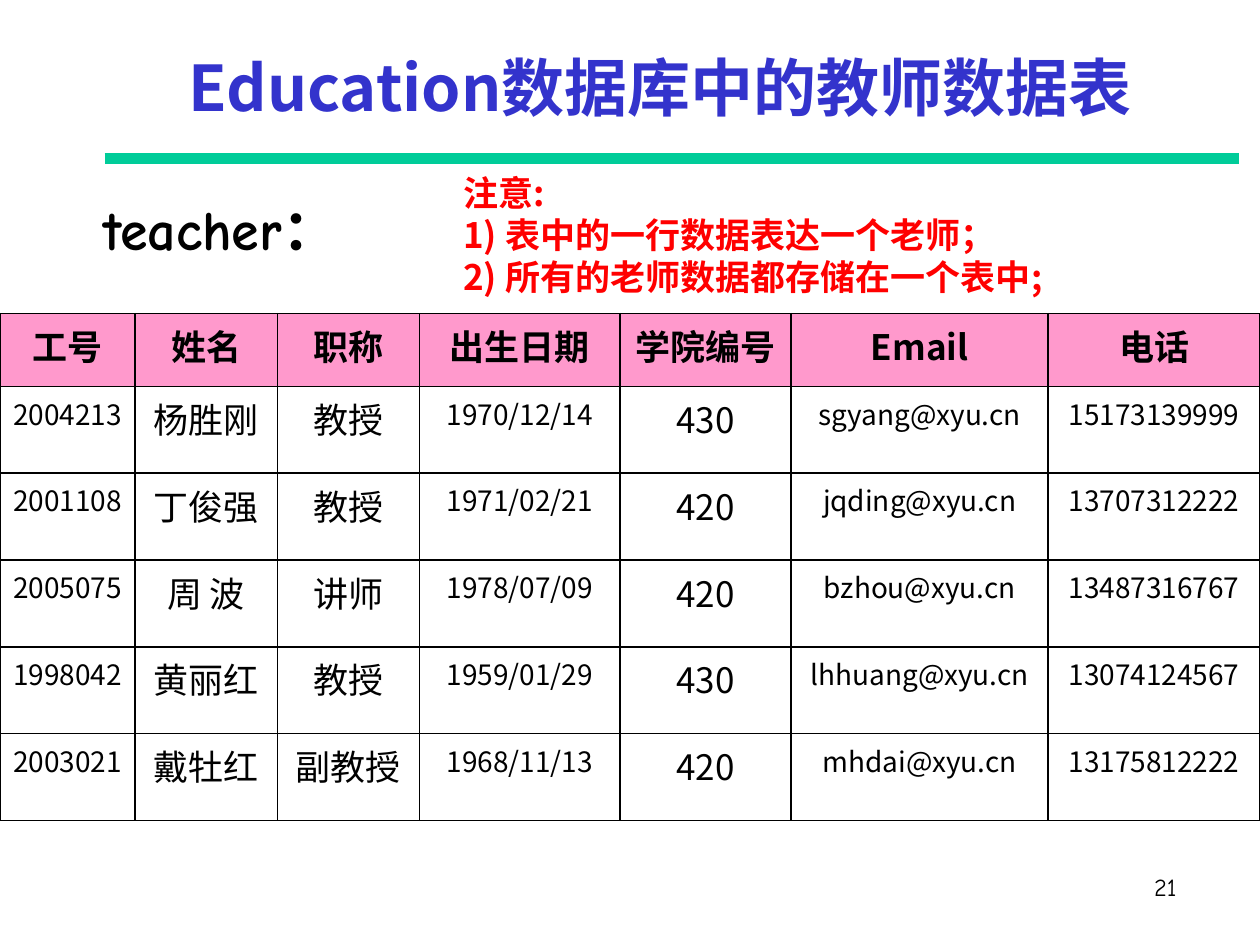
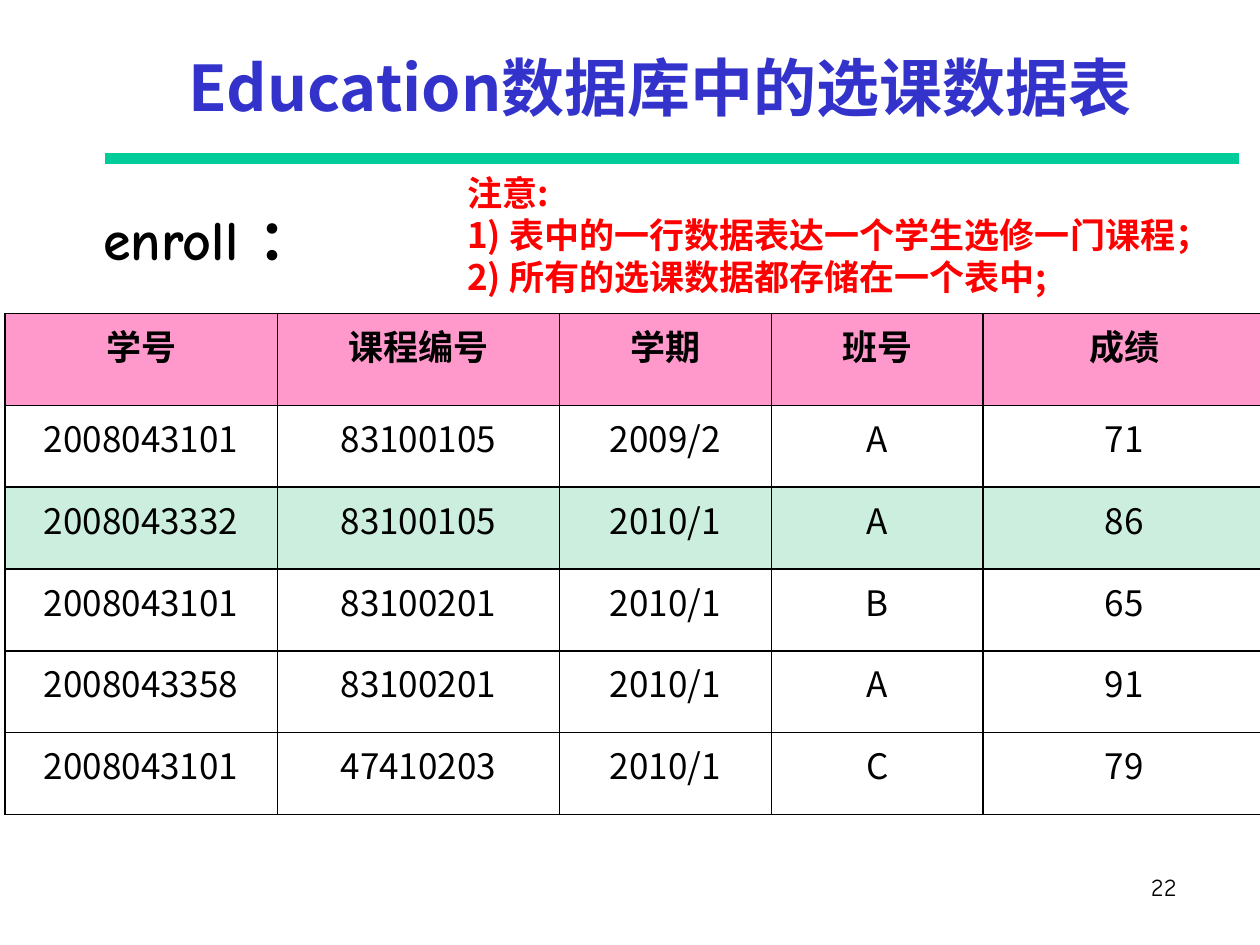
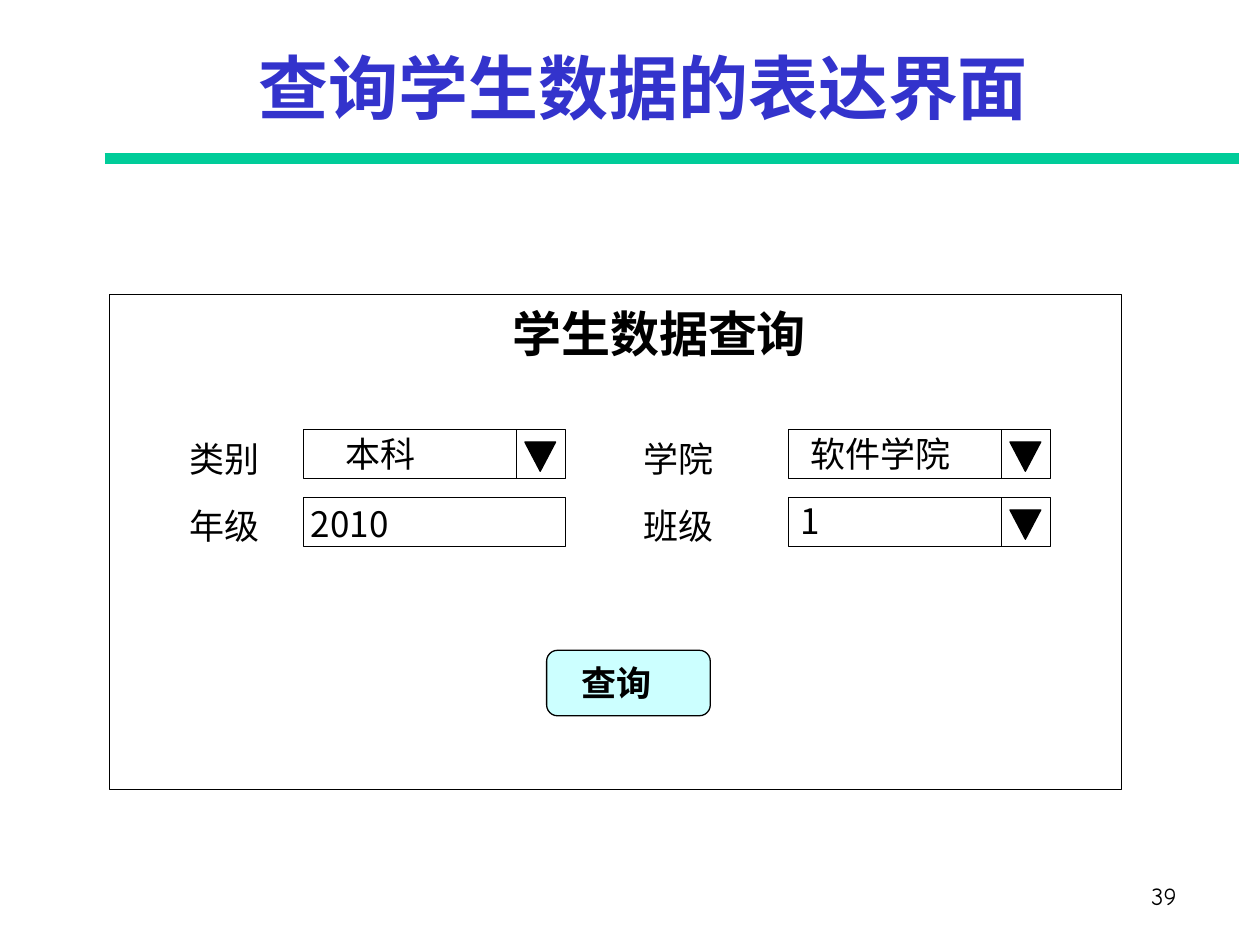
from typing import NamedTuple

from lxml.etree import SubElement
from pptx import Presentation
from pptx.dml.color import RGBColor
from pptx.enum.shapes import MSO_CONNECTOR as Connector, MSO_SHAPE as Preset
from pptx.enum.text import MSO_ANCHOR as Anchor, PP_ALIGN as Align
from pptx.oxml.ns import qn
from pptx.util import Cm, Pt

COLORS = {
    "title": "3333CC", "rule": "00CC99", "ink": "000000", "notice": "FF0000",
    "header": "FF99CC", "highlight": "CCEEDF", "button": "CCFFFF", "paper": "FFFFFF",
}
SANS, COMIC = "Noto Sans CJK SC", "Comic Neue"
DEFAULT_INSETS = (0.25, 0.13, 0.25, 0.13)
NO_INSETS = (0, 0, 0, 0)


class Box(NamedTuple):
    """A region in centimetres."""
    left: float
    top: float
    width: float
    height: float

    def inner(self, left, top, width, height):
        """Return a region whose place is relative to this one."""
        return Box(self.left + left, self.top + top, width, height)

    def lengths(self):
        return [Cm(value) for value in self]


TITLE = Box(1.7, 0.33, 23.22, 2.84)
NUMBER = Box(18.69, 17.45, 5.28, 1.27)
RULE = Box(2.11, 3.2, 22.86, 0)
PANEL = Box(2.21, 5.94, 20.4, 9.98)

TEACHERS = [
    ["工号", "姓名", "职称", "出生日期", "学院编号", "Email", "电话"],
    ["2004213", "杨胜刚", "教授", "1970/12/14", "430", "sgyang@xyu.cn", "15173139999"],
    ["2001108", "丁俊强", "教授", "1971/02/21", "420", "jqding@xyu.cn", "13707312222"],
    ["2005075", "周 波", "讲师", "1978/07/09", "420", "bzhou@xyu.cn", "13487316767"],
    ["1998042", "黄丽红", "教授", "1959/01/29", "430", "lhhuang@xyu.cn", "13074124567"],
    ["2003021", "戴牡红", "副教授", "1968/11/13", "420", "mhdai@xyu.cn", "13175812222"],
]
ENROLLMENTS = [
    ["学号", "课程编号", "学期", "班号", "成绩"],
    ["2008043101", "83100105", "2009/2", "A", "71"],
    ["2008043332", "83100105", "2010/1", "A", "86"],
    ["2008043101", "83100201", "2010/1", "B", "65"],
    ["2008043358", "83100201", "2010/1", "A", "91"],
    ["2008043101", "47410203", "2010/1", "C", "79"],
]


def rgb(name):
    return RGBColor.from_string(COLORS[name])


def write(frame, text, size, color="ink", font=SANS, bold=False,
          align=Align.LEFT, spacing=None, indent=0):
    """Fill a text frame, one paragraph a line, in one style."""
    frame.text = text
    for para in frame.paragraphs:
        para.alignment = align
        if spacing:
            para.line_spacing = spacing
        if indent:
            para._p.get_or_add_pPr().set("indent", str(Cm(indent)))
        for span in para.runs:
            span.font.size, span.font.bold = Pt(size), bold
            span.font.color.rgb = rgb(color)
            span.font.name = font
            SubElement(span._r.get_or_add_rPr(), qn("a:ea"), typeface=SANS)


def add_text(page, box, text, size, anchor=Anchor.TOP, insets=DEFAULT_INSETS, **style):
    frame = page.shapes.add_textbox(*box.lengths()).text_frame
    frame.word_wrap = True
    frame.vertical_anchor = anchor
    (frame.margin_left, frame.margin_top,
     frame.margin_right, frame.margin_bottom) = [Cm(inset) for inset in insets]
    write(frame, text, size, **style)


def add_outlined(page, preset, box, fill=None):
    shape = page.shapes.add_shape(preset, *box.lengths())
    shape.shadow.inherit = False
    if fill:
        shape.fill.solid()
        shape.fill.fore_color.rgb = rgb(fill)
    else:
        shape.fill.background()
    shape.line.color.rgb = rgb("ink")
    shape.line.width = Pt(0.75)
    return shape


def add_line(page, box, color, weight):
    """Draw a straight line between two opposite corners of the box."""
    line = page.shapes.add_connector(
        Connector.STRAIGHT, Cm(box.left), Cm(box.top),
        Cm(box.left + box.width), Cm(box.top + box.height))
    line.line.color.rgb = rgb(color)
    line.line.width = Pt(weight)
    SubElement(line._element.spPr, qn("a:effectLst"))


def add_page(deck, title, number, title_size=36, title_shift=0, number_drop=0):
    """Add a page with rule, title and number; the shift moves the title left."""
    page = deck.slides.add_slide(deck.slide_layouts[6])
    add_line(page, RULE, "rule", 6)
    left, top, right, bottom = DEFAULT_INSETS
    add_text(page, TITLE, title, title_size, Anchor.MIDDLE,
             (left, top, right + 2 * title_shift, bottom),
             color="title", bold=True, align=Align.CENTER)
    add_text(page, NUMBER._replace(top=NUMBER.top + number_drop), str(number), 14,
             font=COMIC, align=Align.RIGHT)
    return page


def add_cell_borders(cell):
    properties = cell._tc.get_or_add_tcPr()
    for side in ("lnL", "lnR", "lnT", "lnB"):
        edge = SubElement(properties, qn(f"a:{side}"), w=str(Pt(1)))
        fill = SubElement(edge, qn("a:solidFill"))
        SubElement(fill, qn("a:srgbClr"), val=COLORS["ink"])


def add_records(page, left, top, records, widths, header_height, row_height,
                small_columns=(), highlighted_row=None):
    heights = [header_height] + [row_height] * (len(records) - 1)
    box = Box(left, top, sum(widths), sum(heights))
    table = page.shapes.add_table(len(records), len(widths), *box.lengths()).table
    table.first_row = table.horz_banding = False
    for column, width in zip(table.columns, widths):
        column.width = Cm(width)
    for row, height in zip(table.rows, heights):
        row.height = Cm(height)
    for r, record in enumerate(records):
        fill = "header" if r == 0 else "highlight" if r == highlighted_row else None
        for c, value in enumerate(record):
            cell = table.cell(r, c)
            cell.margin_left = cell.margin_right = Cm(0.2)
            add_cell_borders(cell)
            if fill:
                cell.fill.solid()
                cell.fill.fore_color.rgb = rgb(fill)
            else:
                cell.fill.background()
            write(cell.text_frame, value, 16 if r and c in small_columns else 20,
                  bold=r == 0, align=Align.CENTER)


def add_table_intro(page, name, name_box, notice, notice_left):
    add_text(page, name_box, name, 32, Anchor.MIDDLE, font=COMIC, bold=True, indent=0.74)
    add_text(page, Box(notice_left, 3.33, 16.31, 2.82), notice, 20,
             color="notice", bold=True)


def add_field(page, box, value, text_offset, dropdown):
    add_outlined(page, Preset.RECTANGLE, box, "paper")
    add_text(page, box.inner(*text_offset, 3.35, 1.27), value, 20,
             insets=NO_INSETS, align=Align.JUSTIFY)
    if dropdown:
        add_line(page, box.inner(4.29, 0, 0, box.height), "ink", 0.75)
        arrow = add_outlined(page, Preset.ISOSCELES_TRIANGLE,
                             box.inner(4.46, 0.25, 0.62, 0.59), "ink")
        arrow.rotation = 180


def add_query_form(page, panel):
    add_outlined(page, Preset.RECTANGLE, panel)
    add_text(page, panel.inner(7.87, 0.05, 7.92, 1.52), "学生数据查询", 28,
             bold=True, align=Align.JUSTIFY)
    columns = [
        ("类别\n年级", 1.37, 3.91,
         [("本科", (0.84, 0.05), True), ("2010", (0.15, 0.1), False)]),
        ("学院\n班级", 10.52, 13.69,
         [("软件学院", (0.43, 0.05), True), ("1", (0.23, 0.03), True)]),
    ]
    for labels, label_left, field_left, fields in columns:
        add_text(page, panel.inner(label_left, 2.24, 4.62, 4.09), labels, 20,
                 align=Align.JUSTIFY, spacing=1.6)
        for row, field in enumerate(fields):
            add_field(page, panel.inner(field_left, 2.72 + 1.37 * row, 5.28, 0.99), *field)
    button = panel.inner(8.81, 7.17, 3.3, 1.32)
    add_outlined(page, Preset.ROUNDED_RECTANGLE, button, "button")
    add_text(page, button.inner(0.66, 0.2, 2.64, 1.65), "查询", 20,
             insets=(0.05, 0.03, 0.05, 0.03), bold=True, align=Align.JUSTIFY)


def add_teacher_page(deck):
    page = add_page(deck, "Education数据库中的教师数据表", 21)
    add_table_intro(page, "teacher：", Box(1.09, 3.73, 6.76, 1.73),
                    "注意:\n1) 表中的一行数据表达一个老师；\n"
                    "2) 所有的老师数据都存储在一个表中;", 9.09)
    add_records(page, 0, 6.32, TEACHERS, [2.72, 2.87, 2.87, 4.04, 3.45, 5.18, 4.27],
                1.47, 1.75, small_columns=(0, 3, 5, 6))


def add_enrollment_page(deck):
    page = add_page(deck, "Education数据库中的选课数据表", 22)
    add_table_intro(page, "enroll ：", Box(1.09, 3.94, 10.21, 1.73),
                    "注意:\n1) 表中的一行数据表达一个学生选修一门课程；\n"
                    "2) 所有的选课数据都存储在一个表中;", 9.17)
    add_records(page, 0.1, 6.32, ENROLLMENTS, [5.49, 5.69, 4.27, 4.27, 5.69],
                1.85, 1.65, highlighted_row=2)


def add_query_page(deck):
    page = add_page(deck, "查询学生数据的表达界面", 39, title_size=40,
                    title_shift=0.34, number_drop=0.18)
    add_query_form(page, PANEL)


def main():
    deck = Presentation()
    deck.slide_width, deck.slide_height = Cm(25.4), Cm(19.05)
    add_teacher_page(deck)
    add_enrollment_page(deck)
    add_query_page(deck)
    deck.save("out.pptx")


if __name__ == "__main__":
    main()
